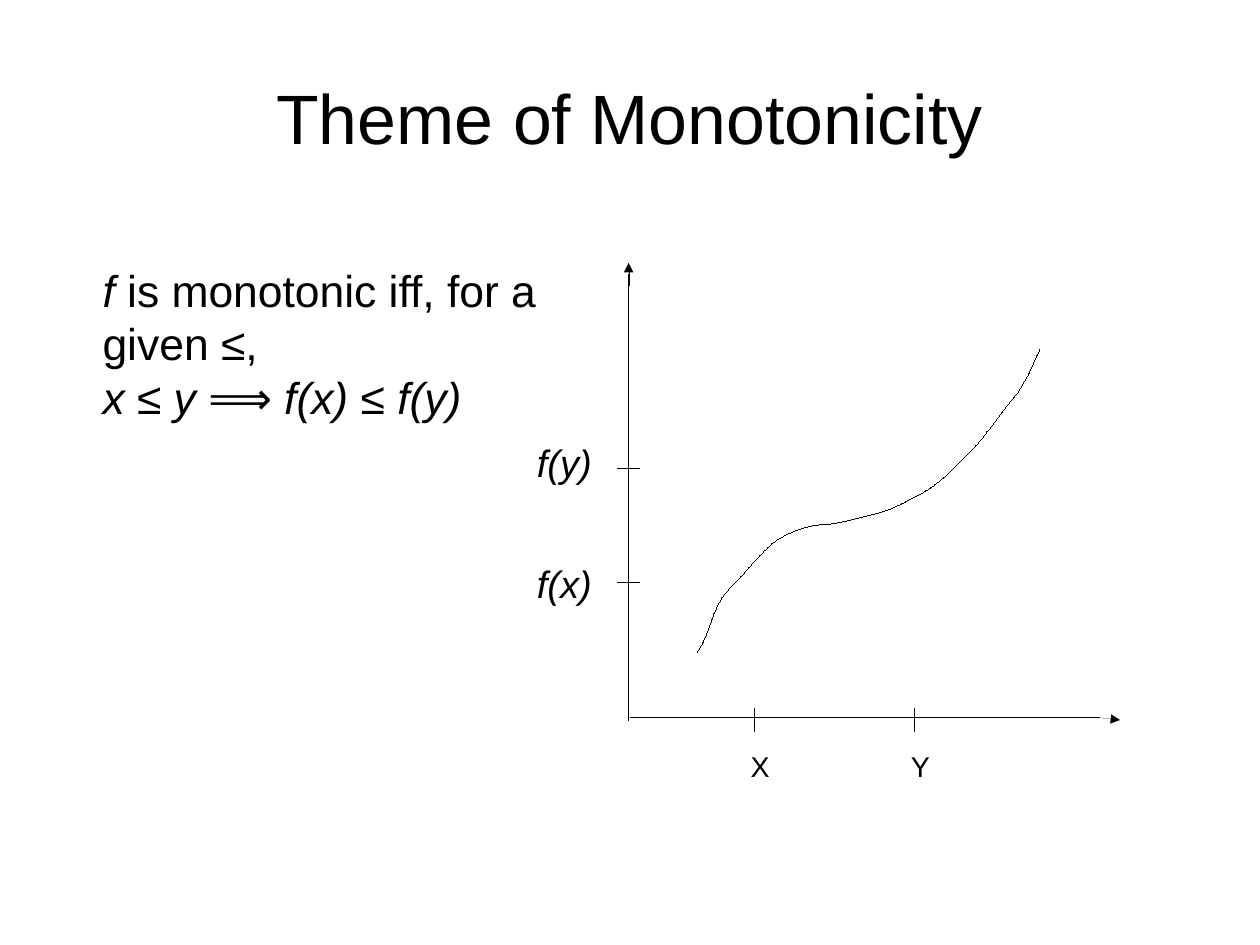
from dataclasses import dataclass

from lxml import etree
from pptx import Presentation
from pptx import util as u
from pptx.dml.color import RGBColor
from pptx.enum import shapes, text
from pptx.oxml import ns

FONT = "Arial"
BLACK = "000000"


@dataclass
class Line:
    x1: float
    y1: float
    x2: float
    y2: float
    arrow: bool = False


@dataclass
class Run:
    text: str
    size: int
    italic: bool = False


@dataclass
class Label:
    x: float
    y: float
    w: float
    h: float
    paragraphs: list[list[Run]]
    anchor: text.MSO_ANCHOR = text.MSO_ANCHOR.TOP


def color(value: str) -> RGBColor:
    return RGBColor.from_string(value)


def add_run(p, run: Run) -> None:
    r = p.add_run()
    r.text = run.text
    r.font.name = FONT
    r.font.size = u.Pt(run.size)
    r.font.italic = run.italic
    r.font.color.rgb = color(BLACK)


def hairline(sp) -> None:
    sp.line.color.rgb = color(BLACK)
    # A zero width must be written out, or the theme's width applies
    sp._element.spPr.find(ns.qn("a:ln")).set("w", "0")


def add_line(s, line: Line) -> None:
    sp = s.shapes.add_connector(
        shapes.MSO_CONNECTOR.STRAIGHT,
        u.Cm(line.x1), u.Cm(line.y1), u.Cm(line.x2), u.Cm(line.y2))
    hairline(sp)
    if line.arrow:
        ln = sp._element.spPr.find(ns.qn("a:ln"))
        etree.SubElement(ln, ns.qn("a:tailEnd"), type="triangle")
    etree.SubElement(sp._element.spPr, ns.qn("a:effectLst"))


def add_label(s, label: Label) -> None:
    sp = s.shapes.add_textbox(u.Cm(label.x), u.Cm(label.y), u.Cm(label.w), u.Cm(label.h))
    tf = sp.text_frame
    tf.word_wrap = True
    tf.vertical_anchor = label.anchor
    for i, runs in enumerate(label.paragraphs):
        p = tf.add_paragraph() if i else tf.paragraphs[0]
        for run in runs:
            add_run(p, run)


def bezier(p0, p1, p2, p3, steps: int = 12) -> list[tuple[float, float]]:
    """Points along a cubic curve, without its start."""
    points = []
    for i in range(1, steps + 1):
        t = i / steps
        v = 1 - t
        points.append(tuple(
            v**3 * a + 3 * v * v * t * b + 3 * v * t * t * c + t**3 * d
            for a, b, c, d in zip(p0, p1, p2, p3)))
    return points


def add_curve(s, knots, end) -> None:
    points = knots[:1]
    for i in range(0, len(knots) - 1, 3):
        points += bezier(*knots[i:i + 4])
    # Vertices are whole numbers, so they are given in EMU
    start, *rest = [(u.Cm(x), u.Cm(y)) for x, y in points + end]
    fb = s.shapes.build_freeform(*start)
    fb.add_line_segments(rest, close=False)
    sp = fb.convert_to_shape()
    sp.shadow.inherit = False
    sp.fill.background()
    hairline(sp)


# Axes: shaft and arrow tip
AXES = [
    Line(13.97, 6.1, 13.97, 16),
    Line(14.02, 15.95, 24.43, 15.95),
    Line(13.97, 6.35, 13.97, 5.84, arrow=True),
    Line(24.43, 15.95, 24.89, 16, arrow=True),
]
X_TICKS = {"X": 16.76, "Y": 20.32}
Y_TICKS = {"f(x)": 12.95, "f(y)": 10.41}
Y_LABEL_TOPS = {"f(x)": 12.32, "f(y)": 9.65}

# Curve: start point, then two control points and an end point per segment
KNOTS = [
    (15.49, 14.5),
    (15.8, 14.07), (15.82, 13.46), (16.21, 13.08),
    (16.56, 12.75), (16.87, 12.29), (17.25, 12.01),
    (17.58, 11.81), (17.96, 11.66), (18.34, 11.66),
    (18.69, 11.63), (19.05, 11.51), (19.41, 11.43),
    (19.79, 11.35), (20.12, 11.15), (20.47, 10.97),
    (20.9, 10.74), (21.23, 10.36), (21.59, 10.01),
    (21.95, 9.63), (22.25, 9.14), (22.61, 8.74),
]
CURVE_END = [(22.86, 8.31), (23.04, 7.9), (23.11, 7.77)]

DEFINITION = Label(2.03, 5.84, 10.67, 3.56, [
    [Run("f", 28, True), Run(" is monotonic iff, for a", 28)],
    [Run("given ≤,", 28)],
    [Run("x ", 28, True), Run("≤ ", 28), Run("y ", 28, True), Run("⟹ ", 28),
     Run("f(x) ", 28, True), Run("≤ ", 28), Run("f(y)", 28, True)],
], text.MSO_ANCHOR.MIDDLE)


def main() -> None:
    prs = Presentation()
    prs.slide_width, prs.slide_height = u.Cm(28), u.Cm(21)
    s = prs.slides.add_slide(prs.slide_layouts[5])

    # Title
    sp = s.shapes.title
    sp.left, sp.top, sp.width, sp.height = u.Cm(1.4), u.Cm(0.84), u.Cm(25.2), u.Cm(3.5)
    tf = sp.text_frame
    tf.margin_left = tf.margin_right = tf.margin_top = tf.margin_bottom = 0
    tf.vertical_anchor = text.MSO_ANCHOR.MIDDLE
    p = tf.paragraphs[0]
    p.alignment = text.PP_ALIGN.CENTER
    add_run(p, Run("Theme of Monotonicity", 44))

    # Graph
    for axis in AXES:
        add_line(s, axis)
    add_curve(s, KNOTS, CURVE_END)

    # Definition
    add_label(s, DEFINITION)

    # Ticks and their labels
    for name, x in X_TICKS.items():
        add_line(s, Line(x, 15.75, x, 16.26))
        add_label(s, Label(x - 0.33, 16.51, 1.1, 0.97, [[Run(name, 18)]]))
    for name, y in Y_TICKS.items():
        add_line(s, Line(13.72, y, 14.22, y))
        add_label(s, Label(11.68, Y_LABEL_TOPS[name], 1.78, 1.19, [[Run(name, 24, True)]]))

    prs.save("out.pptx")


if __name__ == "__main__":
    main()
